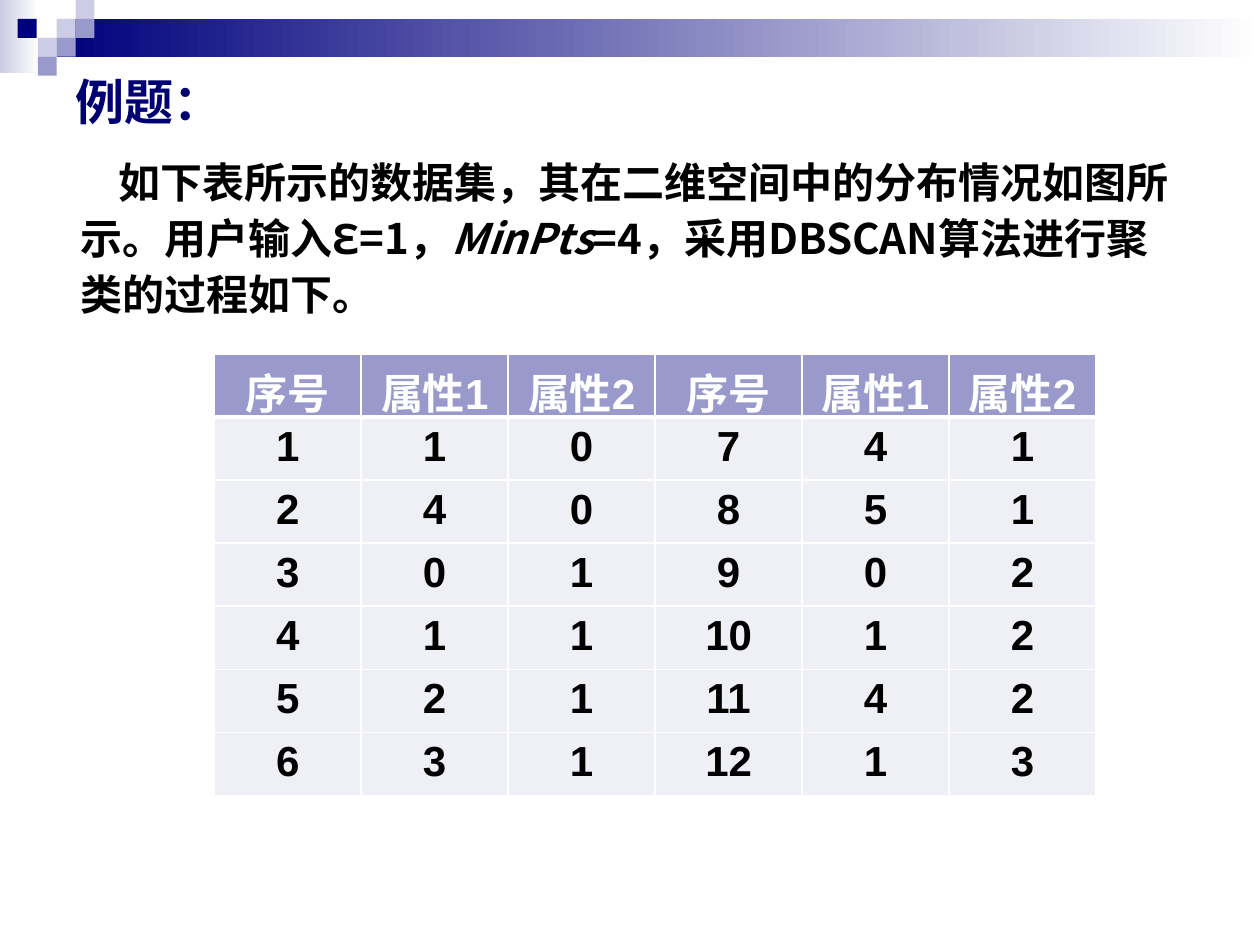
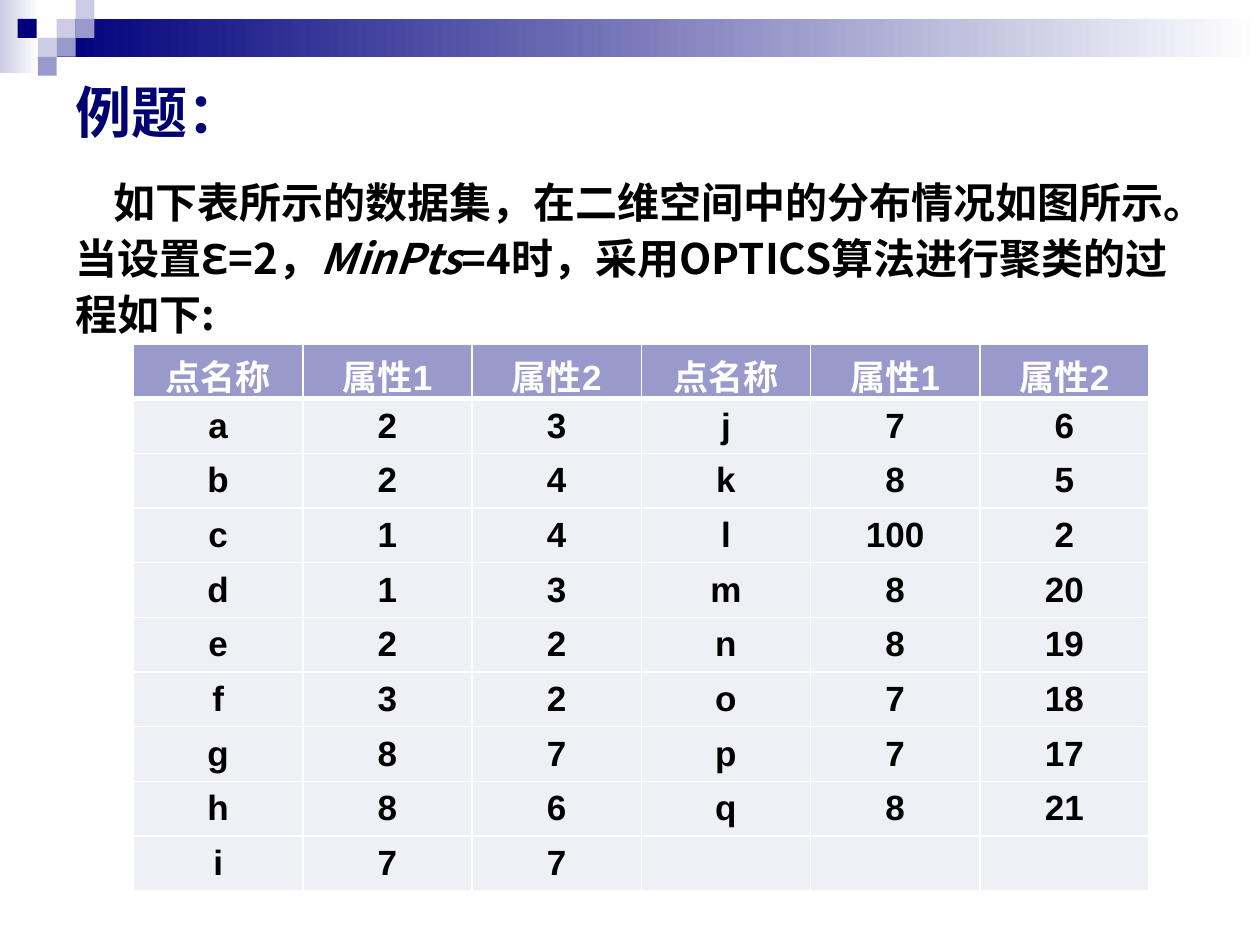
from lxml.etree import SubElement as Sub
from pptx import Presentation
from pptx.dml.color import RGBColor as RGB
from pptx.enum.shapes import MSO_SHAPE as SHAPE
from pptx.enum.text import MSO_ANCHOR as ANCHOR, PP_ALIGN as ALIGN
from pptx.oxml.ns import qn
from pptx.util import Inches, Pt

COLORS = {
    "navy": "00007D", "title": "000072", "lilac": "9999CC", "pale": "CCCCE6",
    "row": "EFEFF6", "black": "000000", "white": "FFFFFF",
}
CJK = "Noto Sans CJK SC"
STEP = 0.15

BANDS = [
    ((0, 0, 0.31, 0.58), "pale"),
    ((0.45, 0.15, 9.55, 0.3), "navy"),
]
SQUARES = [
    (0.45, 0.15, "pale"), (0.6, 0, "pale"), (0.6, 0.15, "lilac"),
    (0.3, 0.3, "pale"), (0.14, 0.15, "navy"), (0.45, 0.3, "lilac"),
    (0.3, 0.45, "lilac"),
]

SLIDES = [
    {
        "title_box": (0.5, 0.05, 9, 1.5), "title_size": 28,
        "body_box": (0.54, 1.15, 9, 4.25),
        "body": [
            "如下表所示的数据集，其在二维空间中的分布情况如图所示。用户输入ℇ=1，",
            "MinPts",
            "=4，采用DBSCAN算法进行聚类的过程如下。",
        ],
        "table_box": (1.7, 2.81, 7, 2.87), "table_size": 24,
        "anchor": ANCHOR.TOP,
        "rows": [
            ["序号", "属性1", "属性2"] * 2,
            [1, 1, 0, 7, 4, 1],
            [2, 4, 0, 8, 5, 1],
            [3, 0, 1, 9, 0, 2],
            [4, 1, 1, 10, 1, 2],
            [5, 2, 1, 11, 4, 2],
            [6, 3, 1, 12, 1, 3],
        ],
    },
    {
        "title_box": (0.5, 0.13, 9, 1.5), "title_size": 32,
        "body_box": (0.5, 1.31, 9, 4.25),
        "body": [
            "如下表所示的数据集，在二维空间中的分布情况如图所示。当设置ℇ=2，",
            "MinPts",
            "=4时，采用OPTICS算法进行聚类的过程如下:",
        ],
        "table_box": (1.06, 2.73, 8.06, 4.1), "table_size": 20,
        "anchor": ANCHOR.MIDDLE,
        "rows": [
            ["点名称", "属性1", "属性2"] * 2,
            ["a", 2, 3, "j", 7, 6],
            ["b", 2, 4, "k", 8, 5],
            ["c", 1, 4, "l", 100, 2],
            ["d", 1, 3, "m", 8, 20],
            ["e", 2, 2, "n", 8, 19],
            ["f", 3, 2, "o", 7, 18],
            ["g", 8, 7, "p", 7, 17],
            ["h", 8, 6, "q", 8, 21],
            ["i", 7, 7, "", "", ""],
        ],
    },
]


def add_run(p, text, color, **fmt):
    r = p.add_run()
    r.text = text
    for name, value in {"name": "Arial", "bold": True, **fmt}.items():
        setattr(r.font, name, value)
    r.font.color.rgb = RGB.from_string(COLORS[color])
    Sub(r._r.get_or_add_rPr(), qn("a:ea"), typeface=CJK)


def add_rect(s, box):
    sp = s.shapes.add_shape(SHAPE.RECTANGLE, *map(Inches, box))
    sp.shadow.inherit = False
    sp.line.fill.background()
    return sp


prs = Presentation()
prs.slide_width, prs.slide_height = Inches(10), Inches(7.5)

for data in SLIDES:
    s = prs.slides.add_slide(prs.slide_layouts[6])

    for box, color in BANDS:
        fill = add_rect(s, box).fill
        fill.gradient()
        fill.gradient_angle = 0
        for stop, name in zip(fill.gradient_stops, (color, "white")):
            stop.color.rgb = RGB.from_string(COLORS[name])
    for x, y, color in SQUARES:
        fill = add_rect(s, (x, y, STEP, STEP)).fill
        fill.solid()
        fill.fore_color.rgb = RGB.from_string(COLORS[color])

    tf = s.shapes.add_textbox(*map(Inches, data["title_box"])).text_frame
    tf.word_wrap = True
    tf.vertical_anchor = ANCHOR.MIDDLE
    add_run(tf.paragraphs[0], "例题：", "title", size=Pt(data["title_size"]))

    tf = s.shapes.add_textbox(*map(Inches, data["body_box"])).text_frame
    tf.word_wrap = True
    p = tf.paragraphs[0]
    p.line_spacing = Pt(32)
    p._p.get_or_add_pPr().set("indent", str(Inches(0.3)))
    for text in data["body"]:
        add_run(p, text, "black", name=CJK, size=Pt(24), italic=text == "MinPts")

    rows = data["rows"]
    table = s.shapes.add_table(
        len(rows), len(rows[0]), *map(Inches, data["table_box"])).table
    for i, row in enumerate(rows):
        for j, value in enumerate(row):
            cell = table.cell(i, j)
            cell.vertical_anchor = data["anchor"]
            tcPr = cell._tc.get_or_add_tcPr()
            thick = {0: "B", 1: "T"}.get(i)
            for side in "LRTB":
                width = Pt(3 if side == thick else 1)
                ln = Sub(tcPr, qn(f"a:ln{side}"), w=str(width))
                Sub(Sub(ln, qn("a:solidFill")), qn("a:srgbClr"), val=COLORS["white"])
            cell.fill.solid()
            cell.fill.fore_color.rgb = RGB.from_string(COLORS["row" if i else "lilac"])
            if value != "":
                p = cell.text_frame.paragraphs[0]
                p.alignment = ALIGN.CENTER
                add_run(p, str(value), "black" if i else "white",
                        size=Pt(data["table_size"]))

prs.save("out.pptx")
